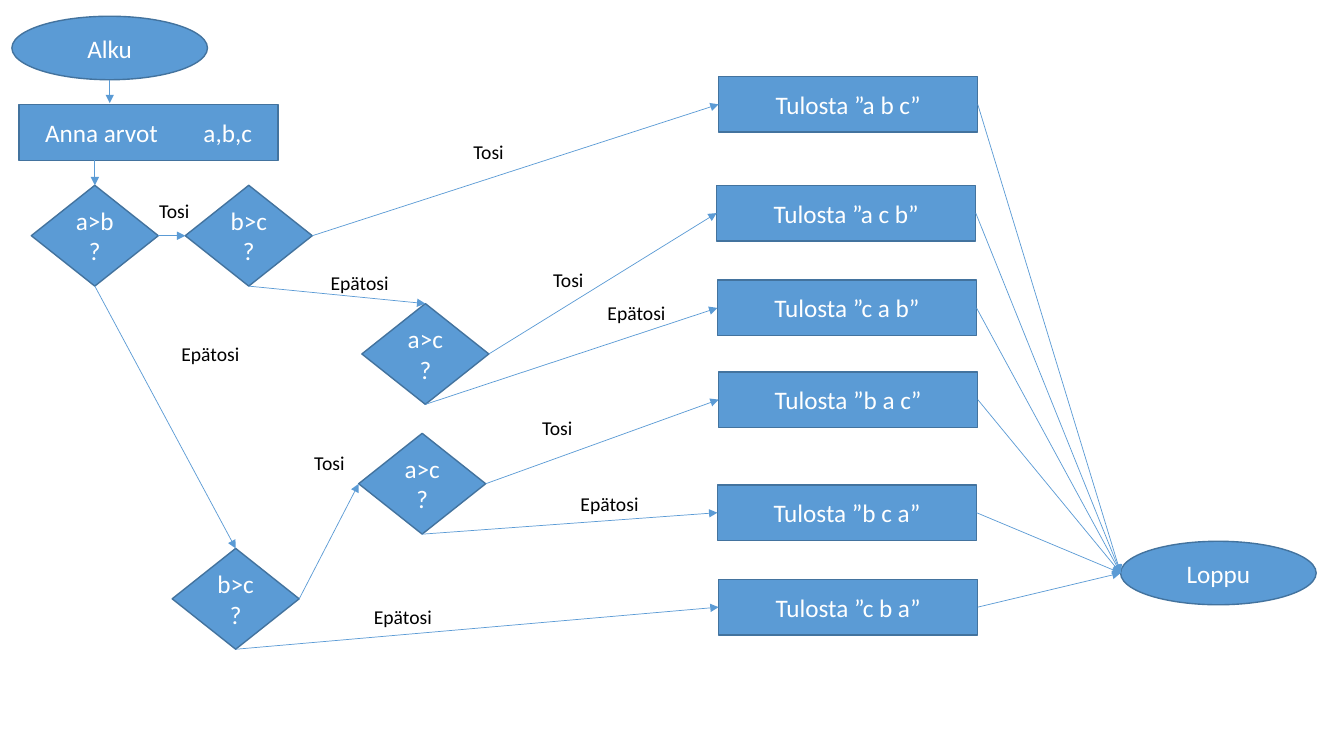
from dataclasses import dataclass
from enum import IntEnum

from lxml.etree import SubElement
from pptx import Presentation
from pptx.dml.color import RGBColor
from pptx.enum.shapes import MSO_CONNECTOR, MSO_SHAPE
from pptx.enum.text import MSO_ANCHOR, MSO_AUTO_SIZE, PP_ALIGN
from pptx.oxml.ns import qn
from pptx.shapes.autoshape import Shape
from pptx.shapes.connector import Connector
from pptx.slide import Slide
from pptx.util import Cm, Pt

COLORS = {"fill": "5B9BD5", "outline": "43739E", "node_text": "FFFFFF", "label": "000000"}
FONT = "Calibri"
SIZES = {
    MSO_SHAPE.OVAL: (4.93, 1.6),
    MSO_SHAPE.RECTANGLE: (6.53, 1.4),
    MSO_SHAPE.DIAMOND: (3.2, 2.54),
}
LABEL_WIDTHS = {"Tosi": 1.3, "Epätosi": 2.01}


class Side(IntEnum):
    """Connection sites of a rectangle or diamond; an ellipse has twice as many."""
    TOP = 0
    LEFT = 1
    BOTTOM = 2
    RIGHT = 3


@dataclass(frozen=True)
class Node:
    """A flowchart step with its position in centimetres."""
    key: str
    kind: MSO_SHAPE
    text: str
    left: float
    top: float


@dataclass(frozen=True)
class Arrow:
    """An arrow from a side of one node to a side of another."""
    tail: str
    tail_side: Side
    head: str
    head_side: Side


@dataclass(frozen=True)
class Label:
    """A branch label with its position in centimetres."""
    text: str
    left: float
    top: float


OUTPUTS = [
    Node(order, MSO_SHAPE.RECTANGLE, f"Tulosta ”{order}”", left, top)
    for order, left, top in [
        ("a b c", 18.11, 1.93), ("a c b", 18.06, 4.67), ("c a b", 18.08, 7.06),
        ("b a c", 18.11, 9.37), ("b c a", 18.08, 12.22), ("c b a", 18.11, 14.6),
    ]
]
NODES = [
    Node("start", MSO_SHAPE.OVAL, "Alku", 0.3, 0.41),
    Node("input", MSO_SHAPE.RECTANGLE, "Anna arvot", 0.48, 2.64),
    Node("ab", MSO_SHAPE.DIAMOND, "a>b?", 0.79, 4.67),
    Node("bc upper", MSO_SHAPE.DIAMOND, "b>c?", 4.67, 4.67),
    Node("ac upper", MSO_SHAPE.DIAMOND, "a>c?", 9.12, 7.65),
    Node("ac lower", MSO_SHAPE.DIAMOND, "a>c?", 9.04, 10.92),
    Node("bc lower", MSO_SHAPE.DIAMOND, "b>c?", 4.34, 13.82),
    *OUTPUTS,
    Node("end", MSO_SHAPE.OVAL, "Loppu", 28.24, 13.64),
]
ARROWS = [
    Arrow("ab", Side.RIGHT, "bc upper", Side.LEFT),
    Arrow("ab", Side.BOTTOM, "bc lower", Side.TOP),
    Arrow("bc upper", Side.RIGHT, "a b c", Side.LEFT),
    Arrow("bc upper", Side.BOTTOM, "ac upper", Side.TOP),
    Arrow("ac upper", Side.RIGHT, "a c b", Side.LEFT),
    Arrow("ac upper", Side.BOTTOM, "c a b", Side.LEFT),
    Arrow("bc lower", Side.RIGHT, "ac lower", Side.LEFT),
    Arrow("bc lower", Side.BOTTOM, "c b a", Side.LEFT),
    Arrow("ac lower", Side.RIGHT, "b a c", Side.LEFT),
    Arrow("ac lower", Side.BOTTOM, "b c a", Side.LEFT),
    *[Arrow(output.key, Side.RIGHT, "end", Side.LEFT) for output in OUTPUTS],
]
LABELS = [
    Label("Tosi", 3.76, 4.88), Label("Tosi", 11.68, 3.4), Label("Tosi", 13.69, 6.63),
    Label("Tosi", 7.67, 11.25), Label("Tosi", 13.41, 10.36),
    Label("Epätosi", 4.32, 8.48), Label("Epätosi", 8.08, 6.71),
    Label("Epätosi", 15.06, 7.47), Label("Epätosi", 14.38, 12.27),
    Label("Epätosi", 9.17, 15.11),
]


def color(name: str) -> RGBColor:
    """Look up a named colour."""
    return RGBColor.from_string(COLORS[name])


def draw_node(s: Slide, node: Node) -> Shape:
    """Draw a step with its centred text."""
    width, height = SIZES[node.kind]
    sp = s.shapes.add_shape(node.kind, Cm(node.left), Cm(node.top), Cm(width), Cm(height))
    sp.shadow.inherit = False
    sp.fill.solid()
    sp.fill.fore_color.rgb = color("fill")
    sp.line.color.rgb = color("outline")
    sp.line.width = Pt(1)
    tf = sp.text_frame
    tf.word_wrap = True
    tf.vertical_anchor = MSO_ANCHOR.MIDDLE
    p = tf.paragraphs[0]
    p.add_run().text = node.text
    p.alignment = PP_ALIGN.CENTER
    p.font.name, p.font.size = FONT, Pt(18)
    p.font.color.rgb = color("node_text")
    return sp


def add_variables(sp: Shape) -> None:
    """Append the variable list after one widely spaced blank."""
    p = sp.text_frame.paragraphs[0]
    r = p.add_run()
    r.text = " "
    r.font._element.set("spc", "2850")
    p.add_run().text = "a,b,c"


def side_point(sp: Shape, side: Side) -> tuple[int, int]:
    """Return the middle of one side of a shape."""
    x = {Side.LEFT: 0, Side.RIGHT: sp.width}.get(side, sp.width // 2)
    y = {Side.TOP: 0, Side.BOTTOM: sp.height}.get(side, sp.height // 2)
    return sp.left + x, sp.top + y


def draw_line(s: Slide, start: tuple[int, int], end: tuple[int, int]) -> Connector:
    """Draw a thin line with an arrowhead at its end."""
    line = s.shapes.add_connector(MSO_CONNECTOR.STRAIGHT, *start, *end)
    line.line.color.rgb = color("fill")
    line.line.width = Pt(0.5)
    SubElement(line.line._get_or_add_ln(), qn("a:tailEnd"), type="triangle")
    SubElement(line._element.spPr, qn("a:effectLst"))
    return line


def draw_arrow(s: Slide, shapes: dict[str, Shape], arrow: Arrow) -> None:
    """Connect two nodes; the ellipse's left site is twice the rectangle's."""
    tail, head = shapes[arrow.tail], shapes[arrow.head]
    end = side_point(head, arrow.head_side)
    line = draw_line(s, side_point(tail, arrow.tail_side), end)
    line.begin_connect(tail, arrow.tail_side)
    is_oval = head.auto_shape_type == MSO_SHAPE.OVAL
    line.end_connect(head, int(arrow.head_side) * (2 if is_oval else 1))
    line.end_x, line.end_y = end


def draw_label(s: Slide, label: Label) -> None:
    """Write the outcome of a branch."""
    width = LABEL_WIDTHS[label.text]
    sp = s.shapes.add_textbox(Cm(label.left), Cm(label.top), Cm(width), Cm(0.86))
    tf = sp.text_frame
    tf.word_wrap = False
    tf.auto_size = MSO_AUTO_SIZE.SHAPE_TO_FIT_TEXT
    p = tf.paragraphs[0]
    p.text = label.text
    p.font.name, p.font.size = FONT, Pt(14)
    p.font.color.rgb = color("label")


def main() -> None:
    """Build the sorting flowchart."""
    prs = Presentation()
    prs.slide_width, prs.slide_height = Cm(33.87), Cm(19.05)
    s = prs.slides.add_slide(prs.slide_layouts[6])
    shapes = {node.key: draw_node(s, node) for node in NODES}
    add_variables(shapes["input"])
    x, y = side_point(shapes["start"], Side.BOTTOM)
    draw_line(s, (x, y), (x, Cm(2.6)))
    x, y = side_point(shapes["ab"], Side.TOP)
    draw_line(s, (x, shapes["input"].top + shapes["input"].height), (x, y))
    for arrow in ARROWS:
        draw_arrow(s, shapes, arrow)
    for label in LABELS:
        draw_label(s, label)
    prs.save("out.pptx")


main()
